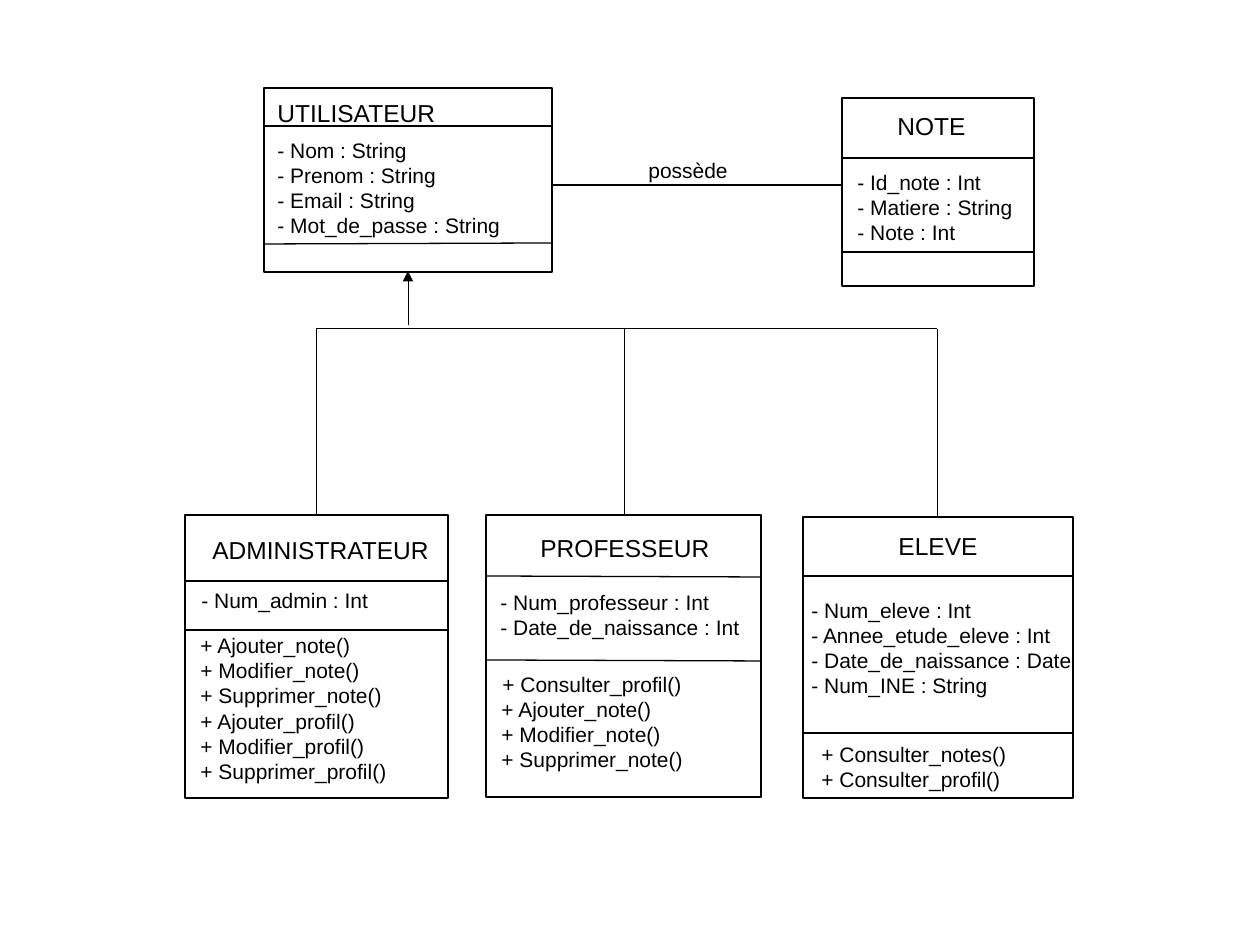
from dataclasses import dataclass
from typing import Any
from pptx import Presentation
from pptx.dml.color import RGBColor
from pptx.enum.shapes import MSO_CONNECTOR, MSO_SHAPE
from pptx.enum.text import PP_ALIGN
from pptx.oxml.ns import qn
from pptx.util import Inches, Pt
from lxml.etree import SubElement


@dataclass(frozen=True)
class Theme:
    """Colours, font, type sizes and line widths."""
    ink: Any = RGBColor(0, 0, 0)
    paper: Any = RGBColor(255, 255, 255)
    font: str = "Arial"
    head: int = 14
    body: int = 12
    edge: float = 0.75
    thin: float = 0.5


def px(*vals):
    """Turn pixels into EMU."""
    return [round(val * Inches(1) / 126) for val in vals]


def write(frame, text, font, size, color, align=PP_ALIGN.LEFT):
    """Fill a text frame, one paragraph for each line."""
    frame.word_wrap = True
    for num, line in enumerate(text.split("\n")):
        para = frame.add_paragraph() if num else frame.paragraphs[0]
        para.alignment = align
        run = para.add_run()
        run.text = line
        run.font.name, run.font.size = font, Pt(size)
        run.font.color.rgb = color


@dataclass
class Chart:
    """Draws class diagram parts on one slide."""
    slide: Any
    theme: Theme

    def text(self, area, text, size=None, align=PP_ALIGN.LEFT):
        """Add a text box."""
        box = self.slide.shapes.add_textbox(*px(*area))
        look = self.theme
        write(box.text_frame, text, font=look.font, size=size or look.body,
              color=look.ink, align=align)

    def line(self, x1, y1, x2, y2, width=None, arrow=False):
        """Add a straight line, with an optional arrowhead at its end."""
        line = self.slide.shapes.add_connector(
            MSO_CONNECTOR.STRAIGHT, *px(x1, y1, x2, y2))
        line.line.color.rgb = self.theme.ink
        line.line.width = Pt(width or self.theme.edge)
        if arrow:
            SubElement(line.line._get_or_add_ln(), qn("a:tailEnd"), type="triangle")
        SubElement(line._element.spPr, qn("a:effectLst"))

    def box(self, area, rules):
        """Add a frame with dividing rules given as start and end heights."""
        rect = self.slide.shapes.add_shape(MSO_SHAPE.RECTANGLE, *px(*area))
        rect.shadow.inherit = False
        rect.fill.solid()
        rect.fill.fore_color.rgb = self.theme.paper
        rect.line.color.rgb = self.theme.ink
        rect.line.width = Pt(self.theme.edge)
        left, _, wide, _ = area
        for start, end in rules:
            self.line(left, start, left + wide, end)

    def entity(self, area, rules, title, parts, align=PP_ALIGN.LEFT):
        """Add a class: frame, title and member lists."""
        self.box(area, rules)
        self.text(*title, size=self.theme.head, align=align)
        for part in parts:
            self.text(*part)


deck = Presentation()
deck.slide_width, deck.slide_height = Inches(10), Inches(7.5)
theme = Theme()
chart = Chart(deck.slides.add_slide(deck.slide_layouts[6]), theme)

chart.entity((803, 517, 270, 281), [(576, 576), (733, 733)],
             ((804, 525, 268, 57), "ELEVE"),
             [((799, 591, 318, 110),
               "- Num_eleve\u00a0: Int\n- Annee_etude_eleve : Int\n"
               "- Date_de_naissance : Date\n- Num_INE : String"),
              ((809, 735, 248, 59), "+ Consulter_notes()\n+ Consulter_profil()")],
             align=PP_ALIGN.CENTER)
chart.entity((486, 515, 275, 282), [(576, 577), (660, 661)],
             ((528, 527, 202, 52), "PROFESSEUR"),
             [((488, 583, 287, 59),
               "- Num_professeur\u00a0: Int\n- Date_de_naissance : Int"),
              ((490, 665, 223, 47), "+ Consulter_profil()"),
              ((489, 690, 223, 100),
               "+ Ajouter_note()\n+ Modifier_note()\n+ Supprimer_note()")])
chart.entity((185, 515, 263, 283), [(581, 581), (630, 630)],
             ((200, 529, 252, 57), "ADMINISTRATEUR"),
             [((189, 581, 262, 37), "- Num_admin\u00a0: Int"),
              ((188, 626, 223, 100),
               "+ Ajouter_note()\n+ Modifier_note()\n+ Supprimer_note()"),
              ((188, 702, 223, 100),
               "+ Ajouter_profil()\n+ Modifier_profil()\n+ Supprimer_profil()")])
chart.entity((264, 88, 288, 184), [(126, 126), (244, 243)],
             ((265, 92, 194, 40), "UTILISATEUR"),
             [((265, 131, 287, 59),
               "- Nom : String\n- Prenom : String\n- Email : String\n"
               "- Mot_de_passe : String")])
chart.entity((842, 98, 192, 188), [(158, 158), (252, 252)],
             ((885, 105, 118, 52), "NOTE"),
             [((845, 163, 188, 83),
               "- Id_note\u00a0: Int\n- Matiere\u00a0: String\n- Note\u00a0: Int")])

chart.line(552, 185, 842, 185)
chart.text((636, 151, 110, 42), "possède")

chart.line(316, 328, 937, 328, width=theme.thin)
for left, foot in ((316, 515), (624, 515), (937, 517)):
    chart.line(left, 329, left, foot, width=theme.thin)
chart.line(408, 325, 408, 271, width=theme.thin, arrow=True)

deck.save("out.pptx")
